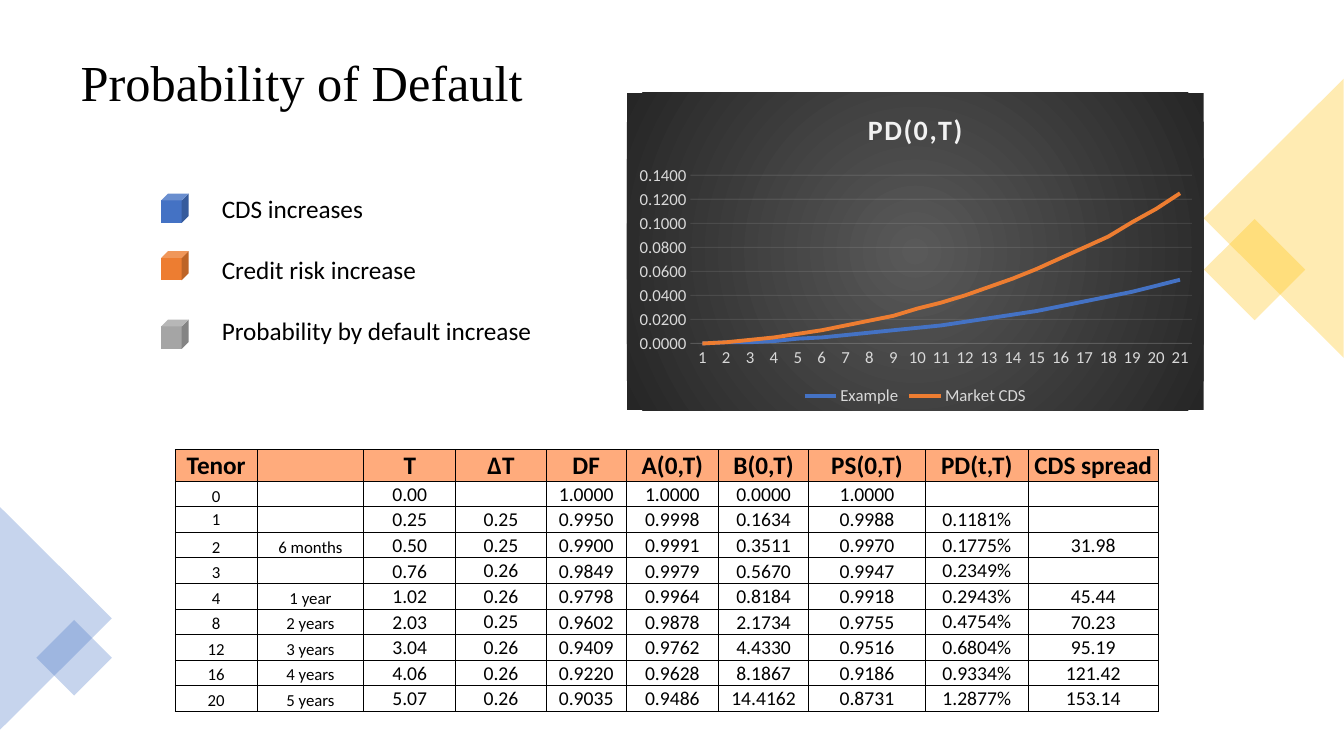
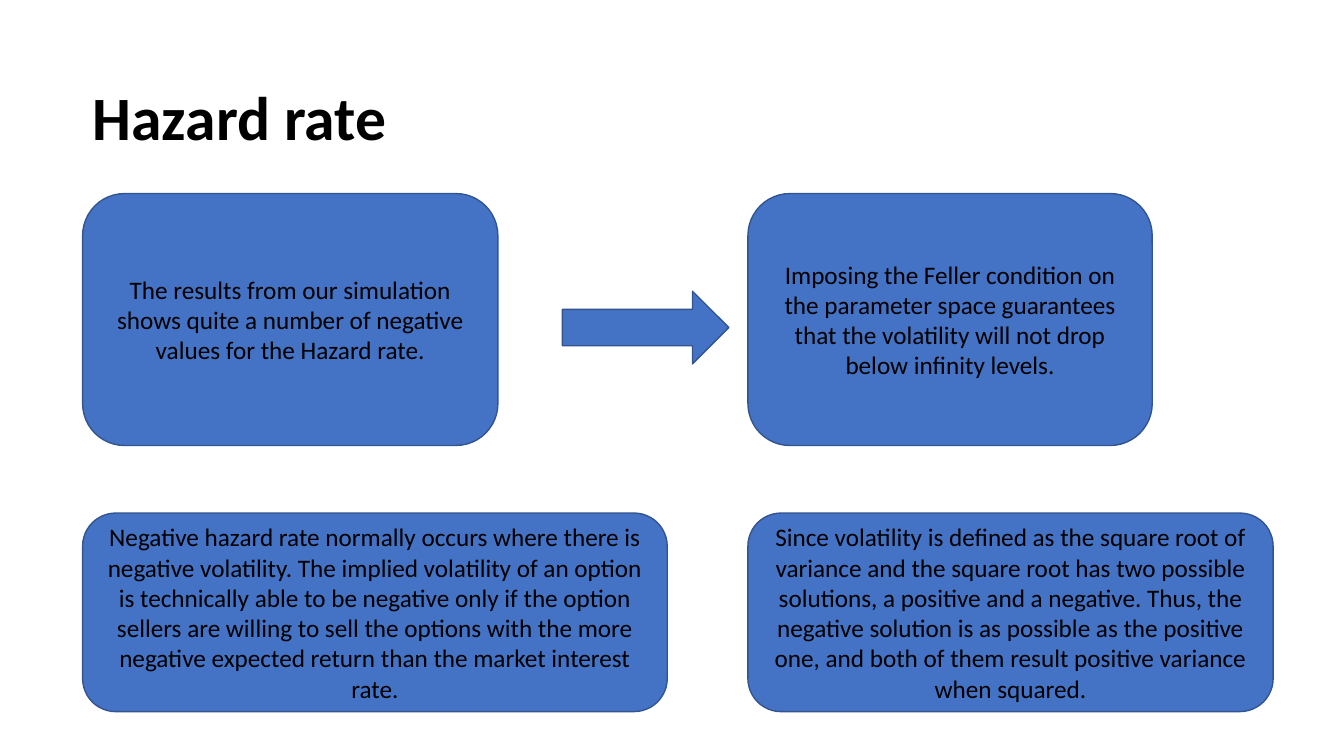
from pptx import Presentation
from pptx.chart.data import CategoryChartData
from pptx.dml.color import RGBColor
from pptx.enum.chart import XL_CHART_TYPE, XL_LEGEND_POSITION, XL_TICK_MARK
from pptx.enum.shapes import MSO_SHAPE
from pptx.enum.text import MSO_ANCHOR, MSO_AUTO_SIZE, PP_ALIGN
from pptx.oxml import parse_xml
from pptx.oxml.ns import nsdecls, qn
from pptx.util import Inches, Pt
from lxml.etree import SubElement

# Shared look
BLACK = RGBColor(0x00, 0x00, 0x00)
BLUE = RGBColor(0x44, 0x72, 0xC4)
DARK_BLUE = RGBColor(0x32, 0x54, 0x91)
ORANGE = RGBColor(0xED, 0x7D, 0x31)
GREY = RGBColor(0xA5, 0xA5, 0xA5)
YELLOW = RGBColor(0xFF, 0xC0, 0x00)
PEACH = RGBColor(0xFF, 0xAB, 0x7C)
PALE = RGBColor(0xF2, 0xF2, 0xF2)
LIGHT_GREY = RGBColor(0xD9, 0xD9, 0xD9)
SANS, SERIF = "Calibri", "Times New Roman"
WIDTH, HEIGHT = Inches(13.33), Inches(7.5)

# Default probability content
DRIVERS = ["CDS increases", "Credit risk increase", "Probability by default increase"]
CUBES = [(25.6, BLUE), (33.2, ORANGE), (42.27, GREY)]
CURVES = [
    ("Example", BLUE,
     [0, 0.001, 0.001, 0.002, 0.004, 0.005, 0.007, 0.009, 0.011, 0.013, 0.015,
      0.018, 0.021, 0.024, 0.027, 0.031, 0.035, 0.039, 0.043, 0.048, 0.053]),
    ("Market CDS", ORANGE,
     [0, 0.001, 0.003, 0.005, 0.008, 0.011, 0.015, 0.019, 0.023, 0.029, 0.034,
      0.04, 0.047, 0.054, 0.062, 0.071, 0.08, 0.089, 0.101, 0.112, 0.125]),
]
COLUMN_SHARES = [6.08, 7.95, 6.83, 6.75, 5.93, 6.9, 6.68, 8.7, 7.65, 9.68]
TENORS = [
    ["Tenor", "", "T", "ΔT", "DF", "A(0,T)", "B(0,T)", "PS(0,T)", "PD(t,T)", "CDS spread"],
    ["0", "", "0.00", "", "1.0000", "1.0000", "0.0000", "1.0000", "", ""],
    ["1", "", "0.25", "0.25", "0.9950", "0.9998", "0.1634", "0.9988", "0.1181%", ""],
    ["2", "6 months", "0.50", "0.25", "0.9900", "0.9991", "0.3511", "0.9970", "0.1775%", "31.98"],
    ["3", "", "0.76", "0.26", "0.9849", "0.9979", "0.5670", "0.9947", "0.2349%", ""],
    ["4", "1 year", "1.02", "0.26", "0.9798", "0.9964", "0.8184", "0.9918", "0.2943%", "45.44"],
    ["8", "2 years", "2.03", "0.25", "0.9602", "0.9878", "2.1734", "0.9755", "0.4754%", "70.23"],
    ["12", "3 years", "3.04", "0.26", "0.9409", "0.9762", "4.4330", "0.9516", "0.6804%", "95.19"],
    ["16", "4 years", "4.06", "0.26", "0.9220", "0.9628", "8.1867", "0.9186", "0.9334%", "121.42"],
    ["20", "5 years", "5.07", "0.26", "0.9035", "0.9486", "14.4162", "0.8731", "1.2877%", "153.14"],
]

# Hazard rate content: left, top, width, height, text
LEFT, RIGHT, UPPER, LOWER = 6.15, 55.65, 25.6, 67.87
STATEMENTS = [
    (LEFT, UPPER, 30.9, 33.33,
     "The results from our simulation shows quite a number of negative values for the "
     "Hazard rate."),
    (RIGHT, UPPER, 30.08, 33.33,
     "Imposing the Feller condition on the parameter space guarantees that the volatility "
     "will not drop below infinity levels."),
    (LEFT, LOWER, 43.5, 26.27,
     "Negative hazard rate normally occurs where there is negative volatility. The implied "
     "volatility of an option is technically able to be negative only if the option sellers "
     "are willing to sell the options with the more negative expected return than the market "
     "interest rate."),
    (RIGHT, LOWER, 39.08, 26.27,
     "Since volatility is defined as the square root of variance and the square root has two "
     "possible solutions, a positive and a negative. Thus, the negative solution is as "
     "possible as the positive one, and both of them result positive variance when squared."),
]


def share(left, top, width, height):
    """Turn percentages of the slide's size into lengths."""
    return (int(WIDTH * left / 100), int(HEIGHT * top / 100),
            int(WIDTH * width / 100), int(HEIGHT * height / 100))


def move(placeholder, area):
    placeholder.left, placeholder.top, placeholder.width, placeholder.height = share(*area)


def format_runs(paragraph, size, face=SANS, bold=False, align=PP_ALIGN.CENTER):
    paragraph.alignment = align
    for run in paragraph.runs:
        run.font.size, run.font.name, run.font.bold = Pt(size), face, bold
        run.font.color.rgb = BLACK


def fade(colors, percent):
    for color in colors:
        SubElement(color, qn("a:alpha"), val=str(percent * 1000))


def add_title(slide, text, area, size, face=SANS, bold=False):
    title = slide.shapes.title
    move(title, area)
    frame = title.text_frame
    frame.text = text
    frame.auto_size = MSO_AUTO_SIZE.NONE
    frame.vertical_anchor = MSO_ANCHOR.MIDDLE
    frame.paragraphs[0].line_spacing = 0.9
    format_runs(frame.paragraphs[0], size, face, bold, PP_ALIGN.LEFT)


def add_list(slide, items, area):
    body = slide.placeholders[1]
    move(body, area)
    frame = body.text_frame
    frame.text = "\n".join(items)
    frame.auto_size = MSO_AUTO_SIZE.NONE
    for paragraph in frame.paragraphs:
        format_runs(paragraph, 18, align=PP_ALIGN.LEFT)
        paragraph.space_before, paragraph.space_after = Pt(0), Pt(22)
        properties = paragraph._p.get_or_add_pPr()
        properties.set("marL", "0")
        properties.set("indent", "0")
        SubElement(properties, qn("a:buNone"))


def add_figure(slide, kind, area, fill, line=None, rotation=0, opacity=100):
    figure = slide.shapes.add_shape(kind, *share(*area))
    figure.shadow.inherit = False
    figure.rotation = rotation
    figure.fill.solid()
    figure.fill.fore_color.rgb = fill
    if opacity < 100:
        fade(figure.element.xpath("./p:spPr/a:solidFill/a:srgbClr"), opacity)
    if line is None:
        figure.line.fill.background()
    else:
        figure.line.color.rgb = line
        figure.line.width = Pt(1)
    return figure


def add_statement(slide, left, top, width, height, text):
    card = add_figure(slide, MSO_SHAPE.ROUNDED_RECTANGLE, (left, top, width, height),
                      BLUE, DARK_BLUE)
    card.text_frame.text = text
    card.text_frame.word_wrap = True
    card.text_frame.vertical_anchor = MSO_ANCHOR.MIDDLE
    format_runs(card.text_frame.paragraphs[0], 18)


def style_axes(chart):
    values, periods = chart.value_axis, chart.category_axis
    values.minimum_scale, values.maximum_scale, values.major_unit = 0, 0.14, 0.02
    values.tick_labels.number_format = "0.0000"
    values.tick_labels.number_format_is_linked = False
    values.format.line.fill.background()
    for axis in (values, periods):
        axis.major_tick_mark = axis.minor_tick_mark = XL_TICK_MARK.NONE
    for line in (values.major_gridlines.format.line, periods.format.line):
        line.color.rgb = PALE
        line.width = Pt(0.75)
    fade(chart._chartSpace.xpath(
        ".//c:majorGridlines//a:srgbClr | .//c:catAx/c:spPr//a:srgbClr"), 10)


def style_background(chart):
    stops = "".join(f'<a:gs pos="{position}"><a:srgbClr val="{color}"/></a:gs>'
                    for position, color in ((0, "595959"), (100000, "262626")))
    backdrop = parse_xml(
        f'<c:spPr {nsdecls("c", "a")}><a:gradFill><a:gsLst>{stops}</a:gsLst>'
        '<a:path path="circle"><a:fillToRect l="50000" t="50000" r="50000" b="50000"/>'
        '</a:path></a:gradFill><a:ln><a:noFill/></a:ln></c:spPr>')
    chart._chartSpace.find(qn("c:txPr")).addprevious(backdrop)


def place_plot(chart):
    plot_area = chart._chartSpace.chart.plotArea
    for layout in plot_area.findall(qn("c:layout")):
        plot_area.remove(layout)
    layout = parse_xml(f'<c:layout {nsdecls("c")}><c:manualLayout/></c:layout>')
    settings = {"layoutTarget": "inner", "xMode": "edge", "yMode": "edge",
                "x": "0.11", "y": "0.26", "w": "0.87", "h": "0.53"}
    for name, value in settings.items():
        SubElement(layout[0], qn(f"c:{name}"), val=value)
    plot_area.insert(0, layout)


def add_curves(slide, area):
    curves = CategoryChartData(number_format="0.0000")
    curves.categories = [str(period) for period in range(1, 22)]
    for name, _, values in CURVES:
        curves.add_series(name, values)
    chart = slide.shapes.add_chart(XL_CHART_TYPE.LINE, *share(*area), curves).chart
    chart.font.size, chart.font.name = Pt(12), SANS
    chart.font.color.rgb = LIGHT_GREY

    chart.has_title = True
    heading = chart.chart_title.text_frame
    heading.text = "PD(0,T)"
    run = heading.paragraphs[0].runs[0]
    format_runs(heading.paragraphs[0], 20, bold=True)
    run.font.color.rgb = PALE
    run.font._element.set("spc", "100")
    chart.chart_title.include_in_layout = False

    chart.has_legend = True
    chart.legend.position = XL_LEGEND_POSITION.BOTTOM
    chart.legend.include_in_layout = False
    for series, (_, color, _) in zip(chart.plots[0].series, CURVES):
        series.smooth = False
        series.format.line.color.rgb = color
        series.format.line.width = Pt(2.75)
    style_axes(chart)
    style_background(chart)
    place_plot(chart)


def add_borders(cell):
    properties = cell._tc.get_or_add_tcPr()
    for index, side in enumerate(("lnL", "lnR", "lnT", "lnB")):
        properties.insert(index, parse_xml(
            f'<a:{side} {nsdecls("a")} w="9525"><a:solidFill>'
            f'<a:srgbClr val="{BLACK}"/></a:solidFill></a:{side}>'))


def fill_cell(cell, text, row, column):
    header = row == 0
    size = 18 if header else 12 if column < 2 else 14
    centred = row in (0, 2) or column in (3, 8) or (row == 3 and column > 1)
    cell.text = text
    cell.margin_left = cell.margin_right = cell.margin_top = Inches(0.01)
    cell.margin_bottom = 0
    cell.vertical_anchor = MSO_ANCHOR.MIDDLE if centred else MSO_ANCHOR.BOTTOM
    paragraph = cell.text_frame.paragraphs[0]
    format_runs(paragraph, size, bold=header)
    if not text:
        SubElement(paragraph._p, qn("a:endParaRPr"), sz=str(size * 100))
    if header:
        cell.fill.solid()
        cell.fill.fore_color.rgb = PEACH
    else:
        cell.fill.background()
    add_borders(cell)


def add_tenor_table(slide, area):
    table = slide.shapes.add_table(len(TENORS), len(COLUMN_SHARES), *share(*area)).table
    table.first_row = table.horz_banding = False
    for column, width in zip(table.columns, COLUMN_SHARES):
        column.width = int(WIDTH * width / 100)
    for row, values in enumerate(TENORS):
        table.rows[row].height = int(HEIGHT * (3.38 if row else 4) / 100)
        for column, value in enumerate(values):
            fill_cell(table.cell(row, column), value, row, column)


def add_corner_diamonds(slide):
    for kind, area, color, rotation in (
            (MSO_SHAPE.RECTANGLE, (90.68, 30.93, 5.33, 9.47), YELLOW, 45),
            (MSO_SHAPE.ISOSCELES_TRIANGLE, (84.38, 19.6, 20.78, 18.53), YELLOW, 270),
            (MSO_SHAPE.ISOSCELES_TRIANGLE, (-4.13, 74.4, 16.58, 14.8), BLUE, 90),
            (MSO_SHAPE.RECTANGLE, (3.53, 83.47, 3.98, 7.07), BLUE, 45)):
        add_figure(slide, kind, area, color, rotation=rotation, opacity=30)


def build_default_slide(deck):
    slide = deck.slides.add_slide(deck.slide_layouts[1])
    add_corner_diamonds(slide)
    add_title(slide, "Probability of Default", (5.25, 4.67, 89.48, 13.33), 36, SERIF)
    add_list(slide, DRIVERS, (15.75, 24.93, 27, 21.6))
    for top, color in CUBES:
        add_figure(slide, MSO_SHAPE.CUBE, (12, top, 2.03, 3.87), color)
    add_curves(slide, (46.65, 12.27, 42.9, 42))
    add_tenor_table(slide, (13.05, 59.47, 73.28, 34.4))


def build_hazard_slide(deck):
    slide = deck.slides.add_slide(deck.slide_layouts[5])
    add_title(slide, "Hazard rate", (LEFT, 6.27, 86.25, 19.33), 44, bold=True)
    for statement in STATEMENTS:
        add_statement(slide, *statement)
    add_figure(slide, MSO_SHAPE.RIGHT_ARROW, (41.85, 38.53, 12.38, 9.6), BLUE, DARK_BLUE)


def main():
    deck = Presentation()
    deck.slide_width, deck.slide_height = WIDTH, HEIGHT
    build_default_slide(deck)
    build_hazard_slide(deck)
    deck.save("out.pptx")


main()
